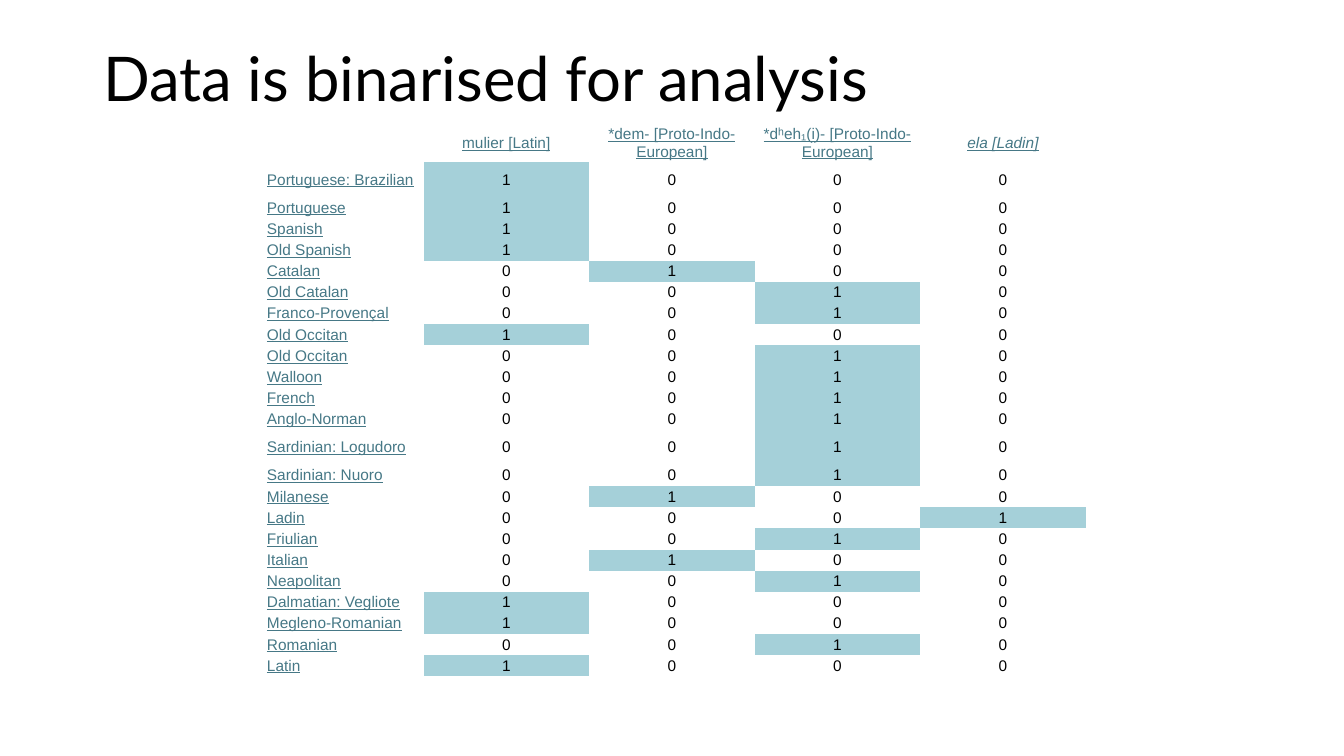
import dataclasses

import pptx
import pptx.dml.color
import pptx.enum.text
import pptx.oxml.ns
import pptx.util

EMU_PER_INCH = 914400
PX_PER_INCH = 100.8
ALIGN = pptx.enum.text.PP_ALIGN
MIDDLE = pptx.enum.text.MSO_ANCHOR.MIDDLE
NO_GRID_STYLE = "{2D5ABB26-0587-4C30-8999-92F81FD0307C}"


@dataclasses.dataclass(frozen=True)
class Theme:
    title_font: str = "Lato"
    table_font: str = "Arial"
    title_size: int = 44
    table_size: int = 11
    text: str = "000000"
    link: str = "467886"
    marked: str = "A5D0D9"


THEME = Theme()

TITLE = "Data is binarised for analysis"
MULIER, DEM, DHEH, ELA = ROOTS = (
    "mulier [Latin]",
    "*dem- [Proto-Indo-European]",
    "*dʰeh₁(i̯)- [Proto-Indo-European]",
    "ela [Ladin]",
)
# Each language with the root its word comes from
LANGUAGES = (
    ("Portuguese: Brazilian", MULIER),
    ("Portuguese", MULIER),
    ("Spanish", MULIER),
    ("Old Spanish", MULIER),
    ("Catalan", DEM),
    ("Old Catalan", DHEH),
    ("Franco-Provençal", DHEH),
    ("Old Occitan", MULIER),
    ("Old Occitan", DHEH),
    ("Walloon", DHEH),
    ("French", DHEH),
    ("Anglo-Norman", DHEH),
    ("Sardinian: Logudoro", DHEH),
    ("Sardinian: Nuoro", DHEH),
    ("Milanese", DEM),
    ("Ladin", ELA),
    ("Friulian", DHEH),
    ("Italian", DEM),
    ("Neapolitan", DHEH),
    ("Dalmatian: Vegliote", MULIER),
    ("Megleno-Romanian", MULIER),
    ("Romanian", DHEH),
    ("Latin", MULIER),
)
TALL_LANGUAGES = ("Portuguese: Brazilian", "Sardinian: Logudoro")
TALL_ROW, LOW_ROW = 35, 20


def px(length):
    return pptx.util.Emu(round(length * EMU_PER_INCH / PX_PER_INCH))


def style_font(font, name, size, color):
    font.name = name
    font.size = pptx.util.Pt(size)
    font.color.rgb = pptx.dml.color.RGBColor.from_string(color)


def set_title(slide, text, left, top, width, height):
    title = slide.shapes.title
    title.left, title.top = px(left), px(top)
    title.width, title.height = px(width), px(height)
    frame = title.text_frame
    frame.text = text
    frame.auto_size = pptx.enum.text.MSO_AUTO_SIZE.NONE
    frame.vertical_anchor = MIDDLE
    para = frame.paragraphs[0]
    para.alignment = ALIGN.LEFT
    para.line_spacing = 0.9
    style_font(para.font, THEME.title_font, THEME.title_size, THEME.text)


def fill_cell(cell, text, align=ALIGN.CENTER, link=False, marked=False,
              italic=False, indent=5):
    cell.margin_left, cell.margin_right = px(indent), px(5)
    cell.margin_top = cell.margin_bottom = px(2)
    cell.vertical_anchor = MIDDLE
    if marked:
        cell.fill.solid()
        cell.fill.fore_color.rgb = pptx.dml.color.RGBColor.from_string(THEME.marked)
    else:
        cell.fill.background()
    cell.text = text
    para = cell.text_frame.paragraphs[0]
    para.alignment = align
    style_font(para.font, THEME.table_font, THEME.table_size,
               THEME.link if link else THEME.text)
    para.font.underline = link
    para.font.italic = italic


def add_plain_table(slide, rows, columns, left, top, width, height):
    frame = slide.shapes.add_table(rows, columns, px(left), px(top),
                                   px(width), px(height))
    table = frame.table
    table.first_row = table.horz_banding = False
    for style in frame.element.iter(pptx.oxml.ns.qn("a:tableStyleId")):
        style.text = NO_GRID_STYLE
    return table


def add_root_table(slide):
    table = add_plain_table(slide, len(LANGUAGES) + 1, len(ROOTS) + 1,
                            258, 124, 828, 597)

    # Header: one column for each root
    table.rows[0].height = px(TALL_ROW)
    fill_cell(table.cell(0, 0), "")
    for column, root in enumerate(ROOTS, 1):
        fill_cell(table.cell(0, column), root, link=True, italic=root == ELA)

    # Body: 1 under the root of the language, 0 elsewhere
    for row, (language, source) in enumerate(LANGUAGES, 1):
        table.rows[row].height = px(TALL_ROW if language in TALL_LANGUAGES else LOW_ROW)
        fill_cell(table.cell(row, 0), language, ALIGN.LEFT, link=True, indent=9)
        for column, root in enumerate(ROOTS, 1):
            match = root == source
            fill_cell(table.cell(row, column), str(int(match)), marked=match)


def main():
    deck = pptx.Presentation()
    deck.slide_width, deck.slide_height = px(1344), px(756)
    slide = deck.slides.add_slide(deck.slide_layouts.get_by_name("Title Only"))
    set_title(slide, TITLE, 93, 9, 1159, 146)
    add_root_table(slide)
    deck.save("out.pptx")


if __name__ == "__main__":
    main()
